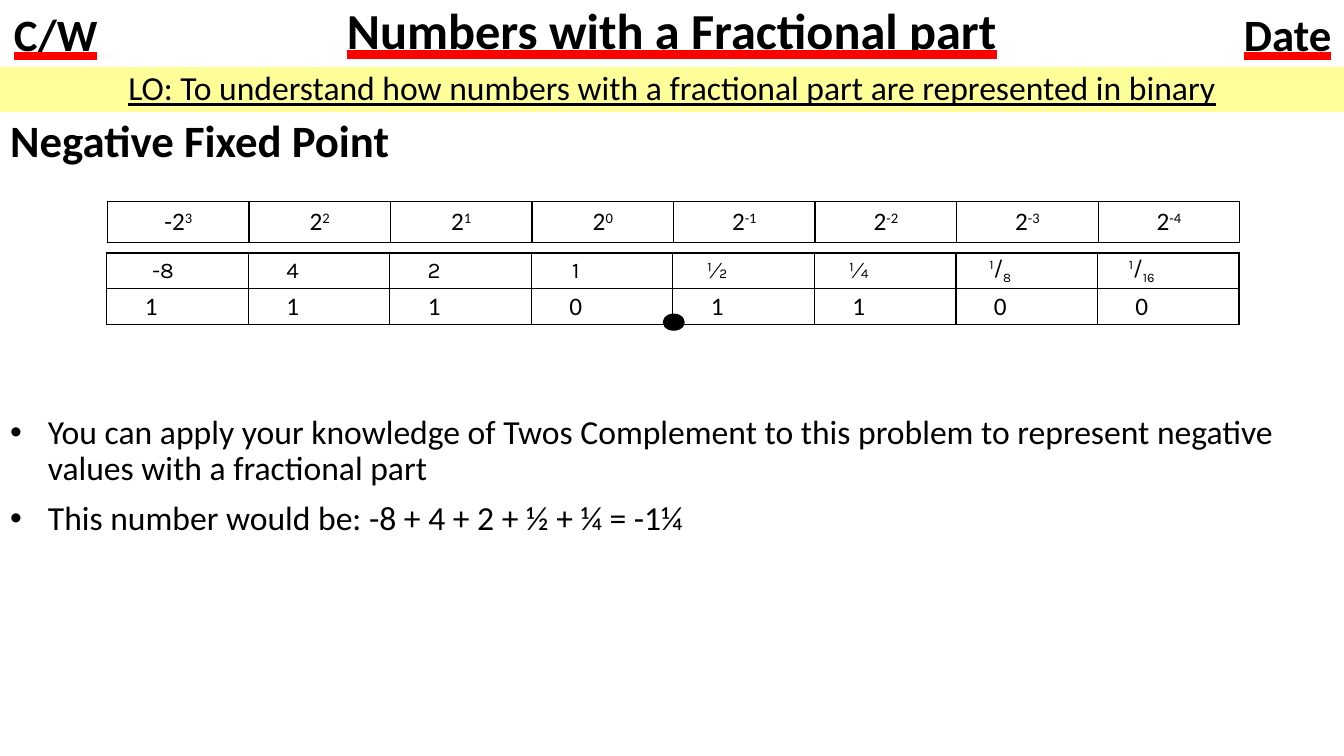
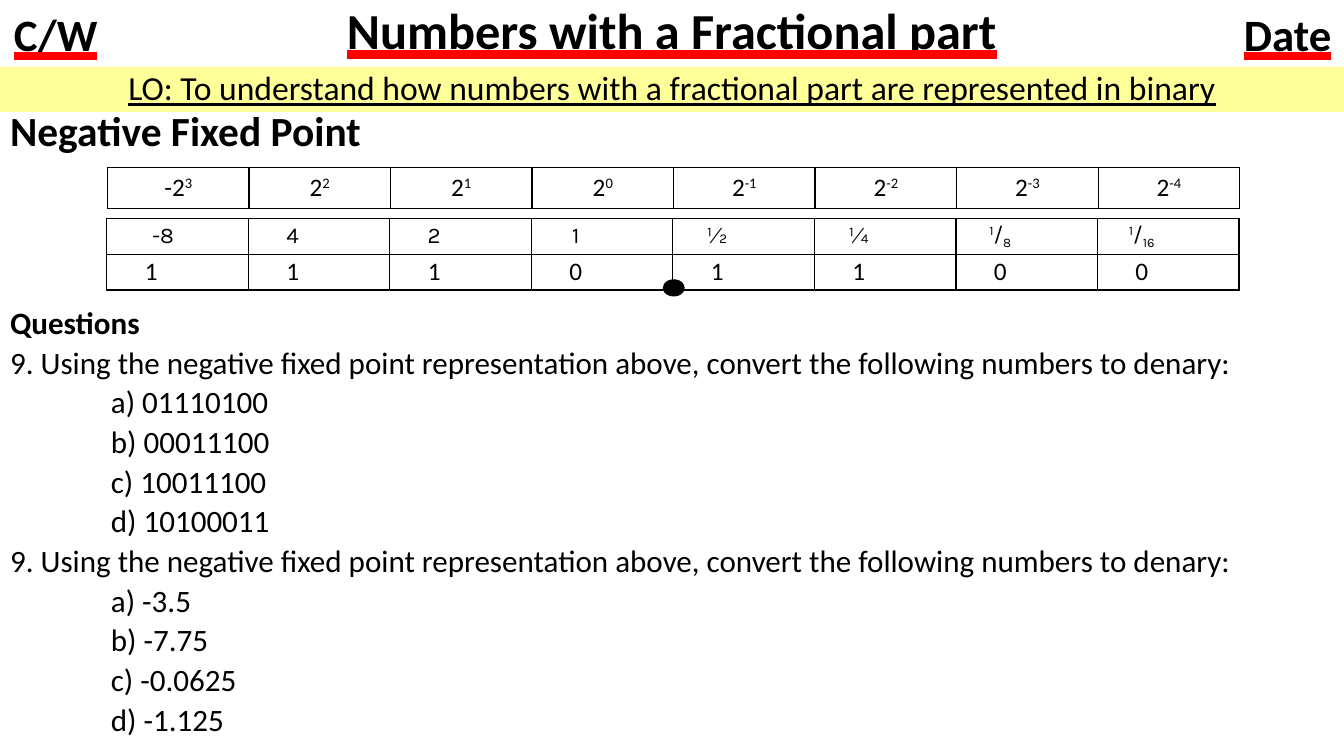
import pptx
import pptx.util
import pptx.dml.color
import pptx.enum.dml
import pptx.enum.shapes
import pptx.enum.text
import pptx.oxml
import pptx.oxml.ns
from lxml import etree

Pt = pptx.util.Pt
RGBColor = pptx.dml.color.RGBColor
CENTER = pptx.enum.text.PP_ALIGN.CENTER
MIDDLE = pptx.enum.text.MSO_ANCHOR.MIDDLE
SHAPE = pptx.enum.shapes.MSO_SHAPE
qn = pptx.oxml.ns.qn

COLORS = {"ink": "000000", "paper": "FFFFFF", "band": "FFFF99", "underline": "FF0000"}
HEAVY = pptx.enum.text.MSO_UNDERLINE.HEAVY_LINE
FONT = {"name": "Calibri", "size": Pt(18), "bold": False}
HEADER_FONT = {"size": Pt(32), "bold": True, "underline": HEAVY}
TITLE_FONT = HEADER_FONT | {"size": Pt(36)}
OBJECTIVE_FONT = {"size": Pt(24), "underline": True}

TITLE = "Numbers with a Fractional part"
OBJECTIVE = "LO: To understand how numbers with a fractional part are represented in binary"
QUESTION = "9. Using the negative fixed point representation above, convert the following numbers to denary:"

# Each cell is a list of (text, baseline in thousandths of a percent).
SUPER, SUB = 30000, -25000
POWERS = [[("-2" if power == 3 else "2", 0), (str(power), SUPER)] for power in range(3, -5, -1)]
WEIGHTS = [[(text, 0)] for text in ("-8", "4", "2", "1", "½", "¼")]
WEIGHTS += [[("1", SUPER), ("/", 0), (text, SUB)] for text in ("8", "16")]
BITS = [[(bit, 0)] for bit in "11101100"]

# Each body paragraph is (text, space before, left indent, bullet, bold, size).
SLIDES = [
    {
        "table_top": 144,
        "line_spacing": 0.9,
        "body": [
            ("Negative Fixed Point", 0, 0, False, True, 32),
            ("You can apply your knowledge of Twos Complement to this problem to represent "
             "negative values with a fractional part", 177, 27, True, False, 24),
            ("This number would be: -8 + 4 + 2 + ½ + ¼ = -1¼", 10, 27, True, False, 24),
        ],
    },
    {
        "table_top": 119.5,
        "line_spacing": 0.7,
        "body": [
            ("Negative Fixed Point", 0, 0, False, True, 29.6),
            ("Questions", 114, 0, False, True, 22.2),
        ],
    },
]
for answers in (("01110100", "00011100", "10011100", "10100011"),
                ("-3.5", "-7.75", "-0.0625", "-1.125")):
    SLIDES[1]["body"].append((QUESTION, 9.7, 0, False, False, 22.2))
    for letter, answer in zip("abcd", answers):
        SLIDES[1]["body"].append((f"{letter}) {answer}", 9.7, 72, False, False, 22.2))


def add_run(paragraph, text, formats, baseline=0):
    """Add formatted text; a heavy underline is drawn in the accent colour."""
    run = paragraph.add_run()
    run.text = text
    for name, value in (FONT | formats).items():
        setattr(run.font, name, value)
    run.font.color.rgb = RGBColor.from_string(COLORS["ink"])
    properties = run._r.get_or_add_rPr()
    if baseline:
        properties.set("baseline", str(baseline))
    if formats.get("underline") == HEAVY:
        fill = etree.Element(qn("a:uFill"))
        solid = etree.SubElement(fill, qn("a:solidFill"))
        etree.SubElement(solid, qn("a:srgbClr"), val=COLORS["underline"])
        properties.find(qn("a:latin")).addprevious(fill)


def add_grid(slide, left, top, row_height, rows, row_fonts, margins):
    """Add a bordered table; margins gives each cell's (right, vertical) by row and column."""
    frame = slide.shapes.add_table(len(rows), 8, Pt(left), Pt(top), Pt(808.8),
                                   Pt(row_height * len(rows)))
    table = frame.table
    table.first_row = table.horz_banding = False
    for column in table.columns:
        column.width = Pt(101.1)
    for row_index, cells in enumerate(rows):
        for column_index, parts in enumerate(cells):
            cell = table.cell(row_index, column_index)
            right, vertical = margins(row_index, column_index)
            cell.margin_left, cell.margin_right = Pt(7.2), Pt(right)
            cell.margin_top = cell.margin_bottom = Pt(vertical)
            cell.vertical_anchor = MIDDLE
            cell.fill.background()
            for position, side in enumerate("LRTB"):
                line = etree.Element(qn(f"a:ln{side}"), w=str(Pt(1)))
                solid = etree.SubElement(line, qn("a:solidFill"))
                etree.SubElement(solid, qn("a:srgbClr"), val=COLORS["ink"])
                cell._tc.get_or_add_tcPr().insert(position, line)
            paragraph = cell.text_frame.paragraphs[0]
            paragraph.alignment = CENTER
            for text, baseline in parts:
                add_run(paragraph, text, row_fonts[row_index], baseline)


presentation = pptx.Presentation()
presentation.slide_width, presentation.slide_height = Pt(960), Pt(540)
layout = presentation.slide_layouts.get_by_name("Two Content")

for slide_index, content in enumerate(SLIDES):
    slide = presentation.slides.add_slide(layout)

    # The corner labels are made once and moved to the shared layout.
    if slide_index == 0:
        for text, left in (("C/W", 0), ("Date", 880)):
            label = slide.shapes.add_shape(SHAPE.RECTANGLE, Pt(left), Pt(1), Pt(79.5), Pt(46.5))
            label.shadow.inherit = False
            label.fill.solid()
            label.fill.fore_color.rgb = RGBColor.from_string(COLORS["paper"])
            label.line.fill.background()
            label.text_frame.word_wrap = False
            label.text_frame.vertical_anchor = MIDDLE
            paragraph = label.text_frame.paragraphs[0]
            paragraph.alignment = CENTER
            add_run(paragraph, text, HEADER_FONT)
            layout.shapes.element.append(label.element)

    title, body, objective = slide.placeholders
    for shape, top, height in ((title, 0, 47.5), (body, 81.5, 458.5), (objective, 47.8, 32.2)):
        shape.left, shape.top, shape.width, shape.height = Pt(0), Pt(top), Pt(960), Pt(height)
        shape.text_frame.auto_size = pptx.enum.text.MSO_AUTO_SIZE.NONE
        shape.text_frame.word_wrap = True
    title.text_frame.vertical_anchor = MIDDLE
    objective.fill.solid()
    objective.fill.fore_color.rgb = RGBColor.from_string(COLORS["band"])

    for shape, text, formats in ((title, TITLE, TITLE_FONT),
                                 (objective, OBJECTIVE, OBJECTIVE_FONT)):
        paragraph = shape.text_frame.paragraphs[0]
        properties = paragraph._p.get_or_add_pPr()
        properties.set("marL", "0")
        properties.set("indent", "0")
        etree.SubElement(properties, qn("a:buNone"))
        paragraph.alignment = CENTER
        paragraph.line_spacing = 0.9
        paragraph.space_before = Pt(0)
        add_run(paragraph, text, formats)

    for index, (text, before, indent, bullet, bold, size) in enumerate(content["body"]):
        frame = body.text_frame
        paragraph = frame.add_paragraph() if index else frame.paragraphs[0]
        properties = paragraph._p.get_or_add_pPr()
        properties.set("marL", str(Pt(indent)))
        properties.set("indent", str(Pt(-indent if bullet else 0)))
        if bullet:
            etree.SubElement(properties, qn("a:buFont"), typeface="Arial")
            etree.SubElement(properties, qn("a:buChar"), char="•")
        else:
            etree.SubElement(properties, qn("a:buNone"))
        paragraph.line_spacing = content["line_spacing"]
        paragraph.space_before = Pt(before)
        add_run(paragraph, text, {"size": Pt(size), "bold": bold})

    table_top = content["table_top"]
    add_grid(slide, 76.3, table_top + 36.7, 25.5, [WEIGHTS, BITS],
             [{"name": "Karla", "size": Pt(16)}, {}],
             lambda row, column: (28 if row == column == 0 else 45, 0))
    point = slide.shapes.add_shape(SHAPE.OVAL, Pt(473.75), Pt(table_top + 80.4), Pt(15), Pt(11.5))
    point.shadow.inherit = False
    point.fill.solid()
    point.fill.fore_color.rgb = RGBColor.from_string(COLORS["ink"])
    point.line.color.rgb = RGBColor.from_string(COLORS["ink"])
    point.line.width = Pt(0.75)
    add_grid(slide, 76.8, table_top, 29.2, [POWERS], [{}], lambda row, column: (7.2, 3.6))

presentation.save("out.pptx")
